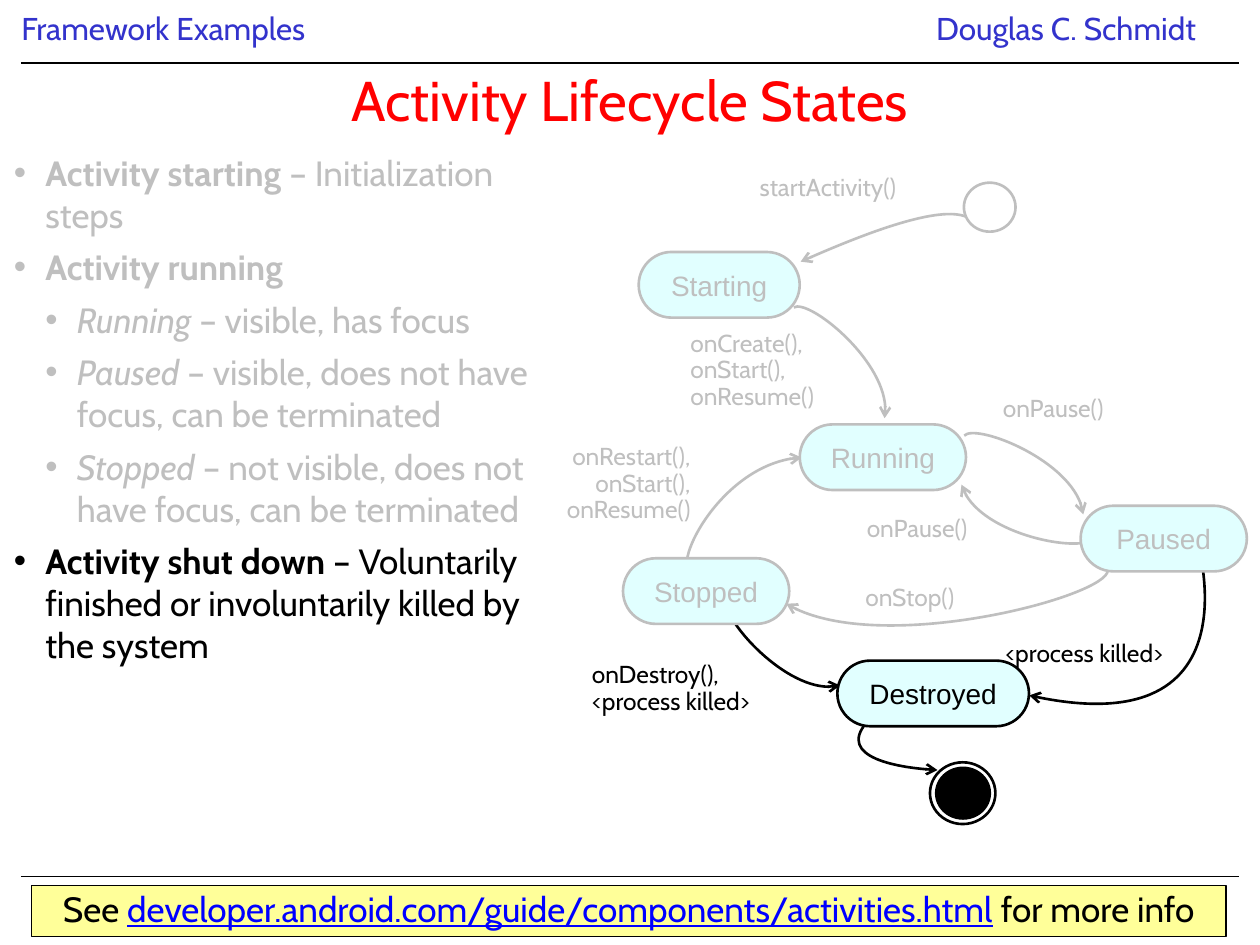
from lxml.etree import SubElement
from pptx import Presentation
from pptx.dml.color import RGBColor as RGB
from pptx.enum.shapes import MSO_CONNECTOR as Connector, MSO_SHAPE as Preset
from pptx.enum.text import MSO_ANCHOR as Anchor, MSO_AUTO_SIZE as AutoSize, PP_ALIGN as Align
from pptx.oxml.ns import qn
from pptx.util import Pt

THEME = {
    "font": "Cabin", "state_font": "Arial",
    "header": "3333CC", "title": "FF0000", "dim": "BFBFBF", "active": "000000",
    "link": "0000FF", "state": "E1FFFF", "note": "FFFF99", "paper": "FFFFFF",
    "header_size": 18, "title_size": 32, "body_size": 20, "state_size": 16, "label_size": 14,
    "thin": 0.75, "thick": 1.5, "state_height": 37.5,
}

# Content
TITLE = "Activity Lifecycle States"
HEADERS = [("Framework Examples", (12.2, 4.3, 426, 27), 0),
           ("Douglas C. Schmidt", (527.8, 4.3, 181, 29), 7.2)]
RULES = [36, 501]
# level, colour, lead text, lead format, remaining text
OUTLINE = [
    (0, "dim", "Activity starting ", "bold", "– Initialization steps"),
    (0, "dim", "Activity running", "bold", ""),
    (1, "dim", "Running ", "italic", "– visible, has focus"),
    (1, "dim", "Paused", "italic", " – visible, does not have focus, can be terminated"),
    (1, "dim", "Stopped", "italic", " – not visible, does not have focus, can be terminated"),
    (0, "active", "Activity shut down ", "bold",
     "– Voluntarily finished or involuntarily killed by the system"),
]
NOTE = [("See ", "active", False),
        ("developer.android.com/guide/components/activities.html", "link", True),
        (" for more info", "active", False)]
# name, left, top, width, colour
STATES = [
    ("Starting", 365, 144, 92, "dim"), ("Running", 457, 242.5, 95, "dim"),
    ("Paused", 617.5, 289, 95, "dim"), ("Stopped", 356, 319, 95, "dim"),
    ("Destroyed", 478.5, 377.5, 109.5, "active"),
]
# text, box, alignment, colour
LABELS = [
    ("startActivity()", (427, 96.5, 98.6, 22), Align.LEFT, "dim"),
    ("onCreate(),\nonStart(),\nonResume()", (387.4, 185.8, 90, 53), Align.LEFT, "dim"),
    ("onRestart(),\nonStart(),\nonResume()", (311, 250.6, 90.7, 53), Align.RIGHT, "dim"),
    ("onPause()", (566, 223.2, 77.8, 22), Align.LEFT, "dim"),
    ("onPause()", (488.2, 291.6, 77.8, 22), Align.LEFT, "dim"),
    ("onStop()", (487.4, 331.2, 69, 22), Align.LEFT, "dim"),
    ("<process killed>", (567.4, 362.9, 122.4, 22), Align.LEFT, "active"),
    ("onDestroy(),\n<process killed>", (331.2, 375.1, 122.4, 38), Align.LEFT, "active"),
]
# colour, then start, two control points and end
TRANSITIONS = [
    ("dim", (552.5, 124), (537, 117), (490, 135), (457.5, 149.5)),
    ("dim", (453.6, 175.7), (462, 170.6), (511, 209.5), (505.5, 239)),
    ("dim", (396, 327.6), (382.3, 326), (412, 264), (458, 261.4)),
    ("dim", (551, 249), (557.3, 242), (615.6, 264), (619, 294)),
    ("dim", (625, 307.4), (620, 316), (558, 306), (549.4, 277)),
    ("dim", (633, 326), (633, 340.6), (500.4, 376), (449.3, 345)),
    ("active", (415.4, 342.7), (411, 351.4), (451.4, 399), (480, 391.7)),
    ("active", (679, 294.5), (683.3, 299.5), (725.8, 428.4), (588.2, 397.4)),
    ("active", (503.3, 405.4), (474.5, 427.7), (503.3, 438.5), (535.7, 440)),
]
# box, fill, line colour
NODES = [((550.8, 104.4, 29.5, 28), "paper", "dim"),
         ((531.4, 435.6, 37.4, 35.3), "paper", "active"),
         ((535, 438.8, 30.6, 28.9), "active", "active")]


def colour(role):
    return RGB.from_string(THEME[role])


def apply(target, **values):
    for key, value in values.items():
        setattr(target, key, value)


def place(part, box):
    apply(part, **dict(zip(("left", "top", "width", "height"), map(Pt, box))))


def write(paragraph, text, role, size, font="font", **extra):
    """Add a formatted run; line feeds become line breaks."""
    for index, line in enumerate(text.split("\n")):
        if index:
            paragraph.add_line_break()
        run = paragraph.add_run()
        run.text = line
        apply(run.font, name=THEME[font], size=Pt(THEME[size]), **extra)
        run.font.color.rgb = colour(role)


def outline(part, role, weight="thick"):
    part.line.color.rgb = colour(role)
    part.line.width = Pt(THEME[weight])


def add_box(slide, preset, box, fill, edge, weight="thick"):
    box_shape = slide.shapes.add_shape(preset, *map(Pt, box))
    box_shape.shadow.inherit = False
    box_shape.fill.solid()
    box_shape.fill.fore_color.rgb = colour(fill)
    outline(box_shape, edge, weight)
    return box_shape


def add_label(slide, text, box, align, role, size, inset=7.2):
    frame = slide.shapes.add_textbox(*map(Pt, box)).text_frame
    apply(frame, word_wrap=False, margin_left=Pt(inset), margin_right=Pt(inset))
    apply(frame.paragraphs[0], alignment=align, line_spacing=0.9)
    write(frame.paragraphs[0], text, role, size)


def add_transition(slide, role, start, *bends):
    """Draw one cubic curve with an open arrowhead at its end."""
    builder = slide.shapes.build_freeform(Pt(start[0]), Pt(start[1]))
    builder.add_line_segments([(Pt(x), Pt(y)) for x, y in bends], close=False)
    curve = builder.convert_to_shape()
    curve.shadow.inherit = False
    curve.fill.background()
    outline(curve, role)
    properties = curve._element.spPr
    track = properties.find(".//" + qn("a:path"))
    segments = track.findall(qn("a:lnTo"))
    cubic = SubElement(track, qn("a:cubicBezTo"))
    for segment in segments:
        cubic.append(segment[0])
        track.remove(segment)
    SubElement(properties.find(qn("a:ln")), qn("a:tailEnd"), type="arrow")


def add_outline(body):
    place(body, (0.7, 82.8, 310.3, 398))
    frame = body.text_frame
    apply(frame, word_wrap=True, auto_size=AutoSize.NONE)
    for index, (level, role, lead, emphasis, rest) in enumerate(OUTLINE):
        item = frame.add_paragraph() if index else frame.paragraphs[0]
        settings = item._p.get_or_add_pPr()
        settings.set("marL", str(Pt(18 * (level + 1))))
        settings.set("indent", str(Pt(-18)))
        SubElement(settings, qn("a:buFont"), typeface="Arial")
        SubElement(settings, qn("a:buChar"), char="•")
        apply(item, level=level, space_before=Pt(6 if index else 0))
        write(item, lead, role, "body_size", **{emphasis: True})
        if rest:
            write(item, rest, role, "body_size")


def main():
    deck = Presentation()
    apply(deck, slide_width=Pt(720), slide_height=Pt(540))
    slide = deck.slides.add_slide(deck.slide_layouts[1])

    # Header texts and rules
    for text, box, inset in HEADERS:
        add_label(slide, text, box, Align.LEFT, "header", "header_size", inset)
    for y in RULES:
        rule = slide.shapes.add_connector(Connector.STRAIGHT, Pt(12), Pt(y), Pt(708), Pt(y))
        outline(rule, "active", "thin")
        SubElement(rule._element.spPr, qn("a:effectLst"))

    # Title and list
    title = slide.shapes.title
    place(title, (12, 41.8, 696, 30.2))
    apply(title.text_frame, vertical_anchor=Anchor.MIDDLE, auto_size=AutoSize.NONE)
    title.text_frame.paragraphs[0].alignment = Align.CENTER
    write(title.text_frame.paragraphs[0], TITLE, "title", "title_size")
    add_outline(slide.placeholders[1])

    # State diagram
    for transition in TRANSITIONS:
        add_transition(slide, *transition)
    for name, left, top, width, role in STATES:
        state = add_box(slide, Preset.ROUNDED_RECTANGLE,
                        (left, top, width, THEME["state_height"]), "state", role)
        state.adjustments[0] = 0.5
        apply(state.text_frame, vertical_anchor=Anchor.MIDDLE, word_wrap=True)
        state.text_frame.paragraphs[0].alignment = Align.CENTER
        write(state.text_frame.paragraphs[0], name, role, "state_size", "state_font")
    for box, fill, edge in NODES:
        add_box(slide, Preset.OVAL, box, fill, edge)
    for text, box, align, role in LABELS:
        add_label(slide, text, box, align, role, "label_size")

    # Footer note
    note = add_box(slide, Preset.RECTANGLE, (18, 506.2, 682.6, 28.8), "note", "active", "thin")
    apply(note.text_frame, vertical_anchor=Anchor.TOP, word_wrap=True)
    sentence = note.text_frame.paragraphs[0]
    apply(sentence, alignment=Align.CENTER, line_spacing=0.9)
    for text, role, underline in NOTE:
        write(sentence, text, role, "body_size", underline=underline)

    deck.save("out.pptx")


if __name__ == "__main__":
    main()
